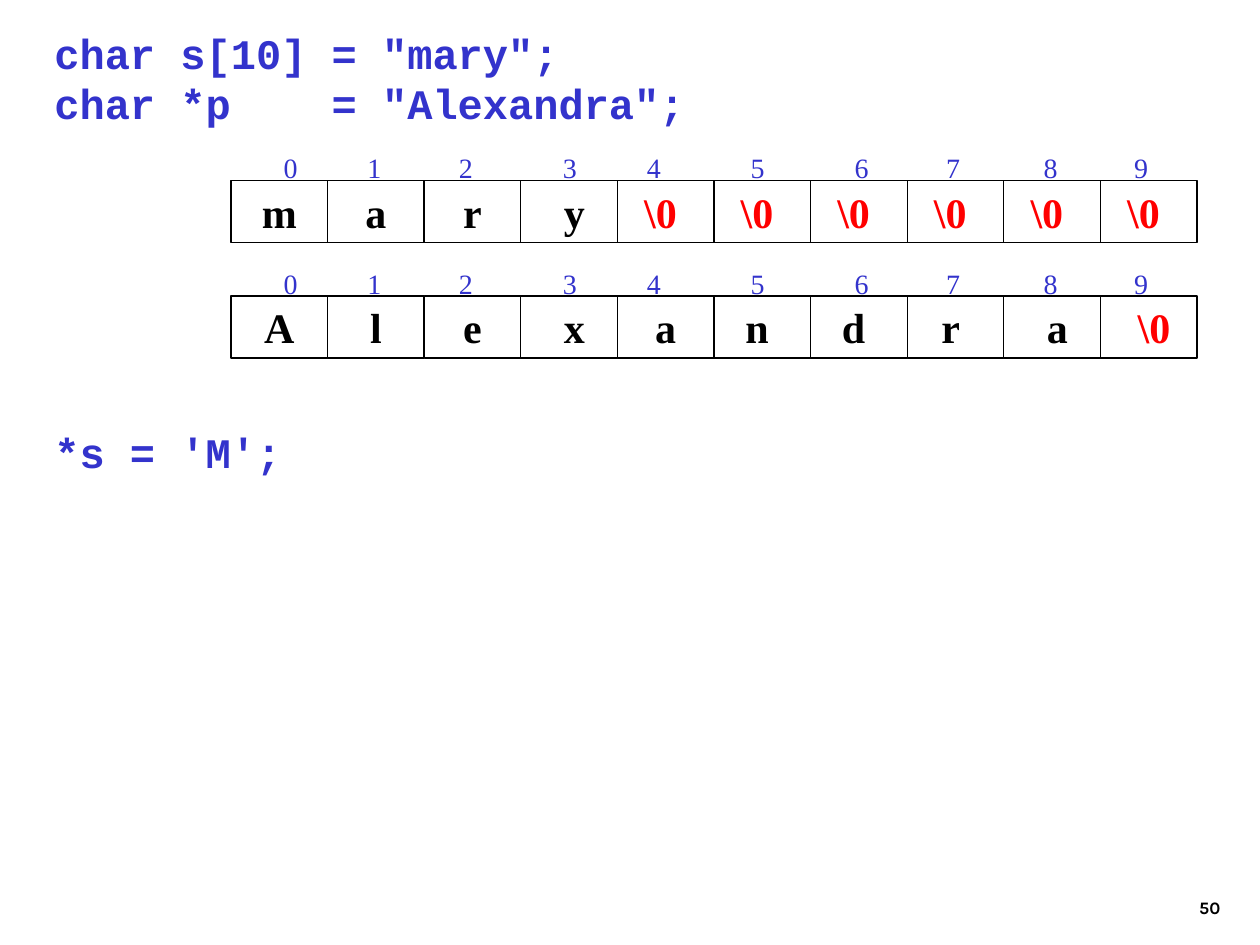
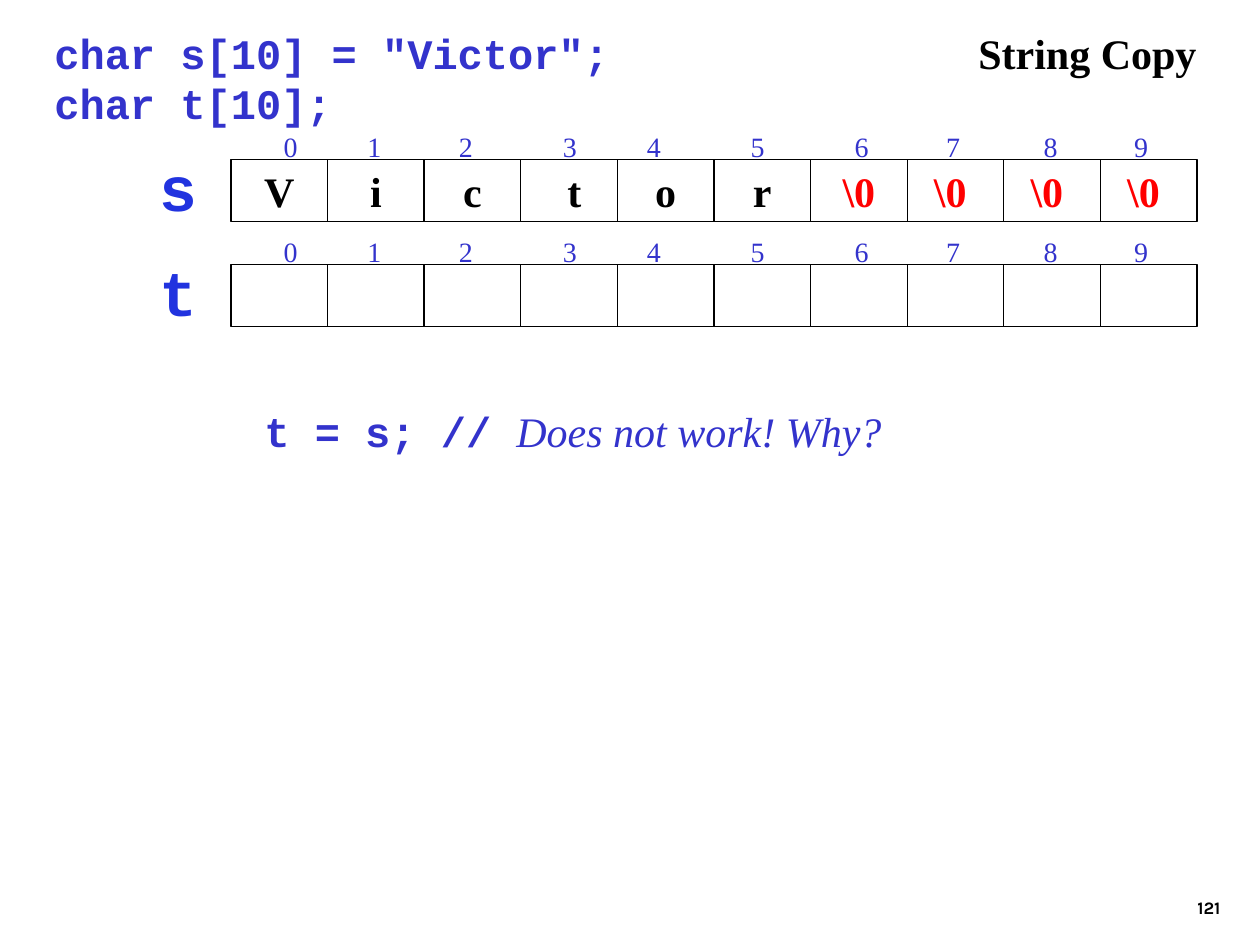
from lxml import etree
from pptx import Presentation
from pptx.dml.color import RGBColor
from pptx.enum.shapes import MSO_SHAPE
from pptx.enum.text import MSO_ANCHOR, PP_ALIGN
from pptx.oxml.ns import qn
from pptx.util import Pt

PX = 7620
RECT = MSO_SHAPE.RECTANGLE
LEFT, CENTER, RIGHT = PP_ALIGN.LEFT, PP_ALIGN.CENTER, PP_ALIGN.RIGHT
TOP, MIDDLE, BOTTOM = MSO_ANCHOR.TOP, MSO_ANCHOR.MIDDLE, MSO_ANCHOR.BOTTOM
MONO, SERIF, SANS = "Courier New", "Times New Roman", "Karla"
BLACK, RED, CODE_BLUE, NAME_BLUE = "000000", "FF0000", "3333CC", "2133DF"

ARRAY_LEFT, CELL_W, CELL_H, CELL_DROP = 220, 92, 59, 42
INDEX_INSET = 50
INDEX_TABS = [80, 167, 266, 346, 445, 544, 631, 724, 810]
CODE = (24, MONO, CODE_BLUE, True, False)
REMARK = (24, SERIF, CODE_BLUE, False, True)
INDEX = (16, SERIF, CODE_BLUE, False, False)
CHAR = (24, SERIF, BLACK, True, False)
NUL = (24, SERIF, RED, True, False)
NAME = (36, MONO, NAME_BLUE, True, False)
PAGE = (10, SANS, BLACK, True, False)


def fill_text(sp, lines, align=LEFT, anchor=TOP, wrap=True):
    tf = sp.text_frame
    tf.word_wrap = wrap
    tf.vertical_anchor = anchor
    tf.margin_left = tf.margin_right = 12 * PX
    tf.margin_top = tf.margin_bottom = 6 * PX
    for i, runs in enumerate(lines):
        p = tf.add_paragraph() if i else tf.paragraphs[0]
        p.alignment = align
        for text, (size, face, color, bold, italic) in runs:
            r = p.add_run()
            r.text = text
            r.font.size = Pt(size)
            r.font.name = face
            r.font.color.rgb = RGBColor.from_string(color)
            r.font.bold = bold
            r.font.italic = italic
    return tf


def add_text(shapes, box, lines, **layout):
    sp = shapes.add_textbox(*[v * PX for v in box])
    return fill_text(sp, lines, **layout)


prs = Presentation()
prs.slide_width = 1200 * PX
prs.slide_height = 900 * PX

slides = [
    {
        "page": "50",
        "declarations": ['char s[10] = "mary";', 'char *p    = "Alexandra";'],
        "arrays": [
            (130, ["m", "a", "r", " y"] + ["\\0 "] * 6),
            (240, ["A", "l", "e", " x", "a", "n ", "d ", "r ", " a", " \\0"]),
        ],
        "statement": ((40, 400, 350, 108), [("*s = 'M';", CODE)]),
        "names": [],
        "title": None,
    },
    {
        "page": "121",
        "declarations": ['char s[10] = "Victor";', "char t[10];"],
        "arrays": [
            (110, ["V", "i", "c", " t", "o", "r", "\\0"] + ["\\0 "] * 3),
            (210, [""] * 10),
        ],
        "statement": (
            (240, 380, 770, 60),
            [("t = s; // ", CODE), ("Does not work! Why?", REMARK)],
        ),
        "names": [(136, "s"), (236, "t")],
        "title": "String Copy",
    },
]

for content in slides:
    s = prs.slides.add_slide(prs.slide_layouts[6])
    add_text(s.shapes, (924, 820, 250, 60), [[(content["page"], PAGE)]],
             align=RIGHT, anchor=BOTTOM)
    add_text(s.shapes, (40, 20, 890, 108),
             [[(line, CODE)] for line in content["declarations"]])
    box, runs = content["statement"]
    add_text(s.shapes, box, [runs])

    for top, chars in content["arrays"]:
        group = s.shapes.add_group_shape()
        digits = "\t".join(str(i) for i in range(len(chars)))
        tf = add_text(group.shapes, (ARRAY_LEFT, top, CELL_W * len(chars), CELL_H),
                      [[(digits, INDEX)]], anchor=MIDDLE)
        tf.margin_left = INDEX_INSET * PX
        pPr = tf.paragraphs[0]._p.get_or_add_pPr()
        tabs = etree.SubElement(pPr, qn("a:tabLst"))
        for pos in INDEX_TABS:
            etree.SubElement(tabs, qn("a:tab"), pos=str(pos * PX), algn="l")

        for i, char in enumerate(chars):
            sp = group.shapes.add_shape(
                RECT, (ARRAY_LEFT + i * CELL_W) * PX, (top + CELL_DROP) * PX,
                CELL_W * PX, CELL_H * PX)
            sp.shadow.inherit = False
            sp.fill.background()
            sp.line.color.rgb = RGBColor.from_string(BLACK)
            sp.line.width = Pt(0.75)
            if char:
                style = NUL if "\\0" in char else CHAR
                fill_text(sp, [[(char, style)]], align=CENTER, anchor=MIDDLE, wrap=False)

    for top, name in content["names"]:
        add_text(s.shapes, (140, top, 60, 84), [[(name, NAME)]], align=RIGHT, wrap=False)
    if content["title"]:
        add_text(s.shapes, (920, 20, 232, 60), [[(content["title"], CHAR)]], wrap=False)

prs.save("out.pptx")
